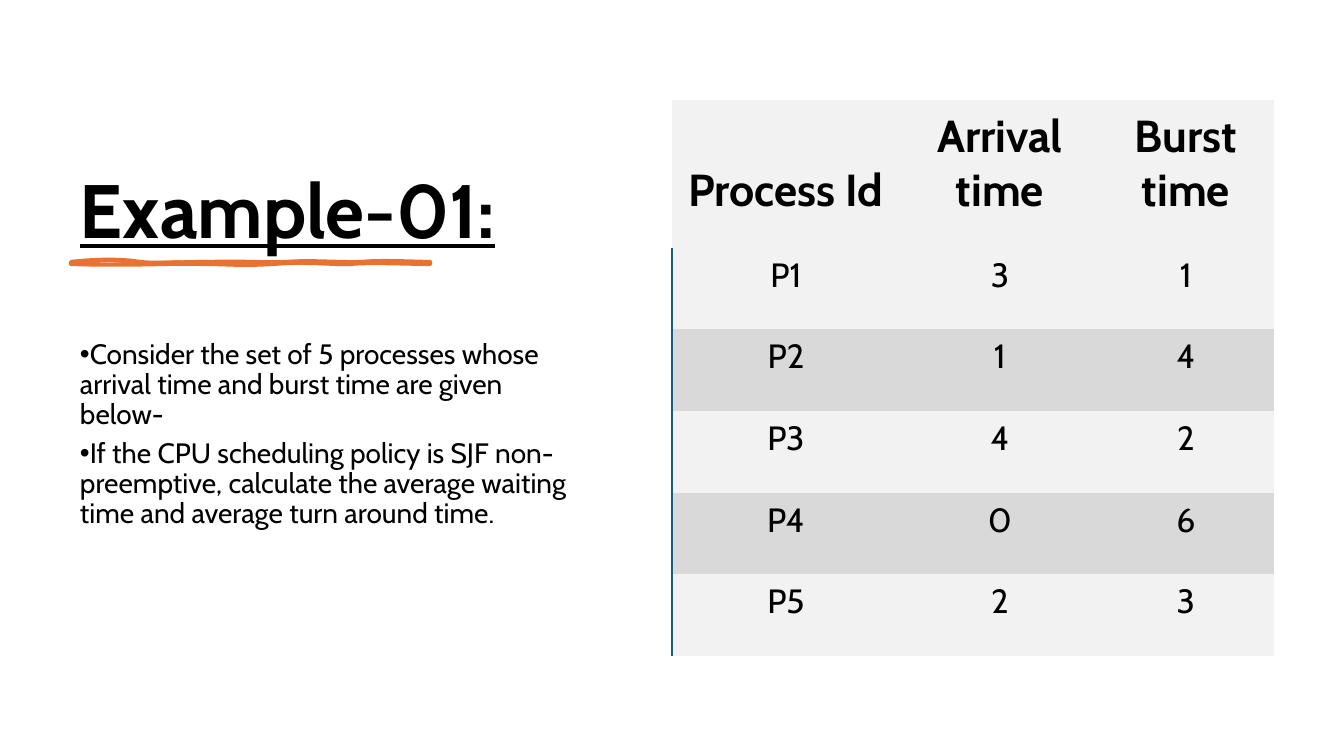
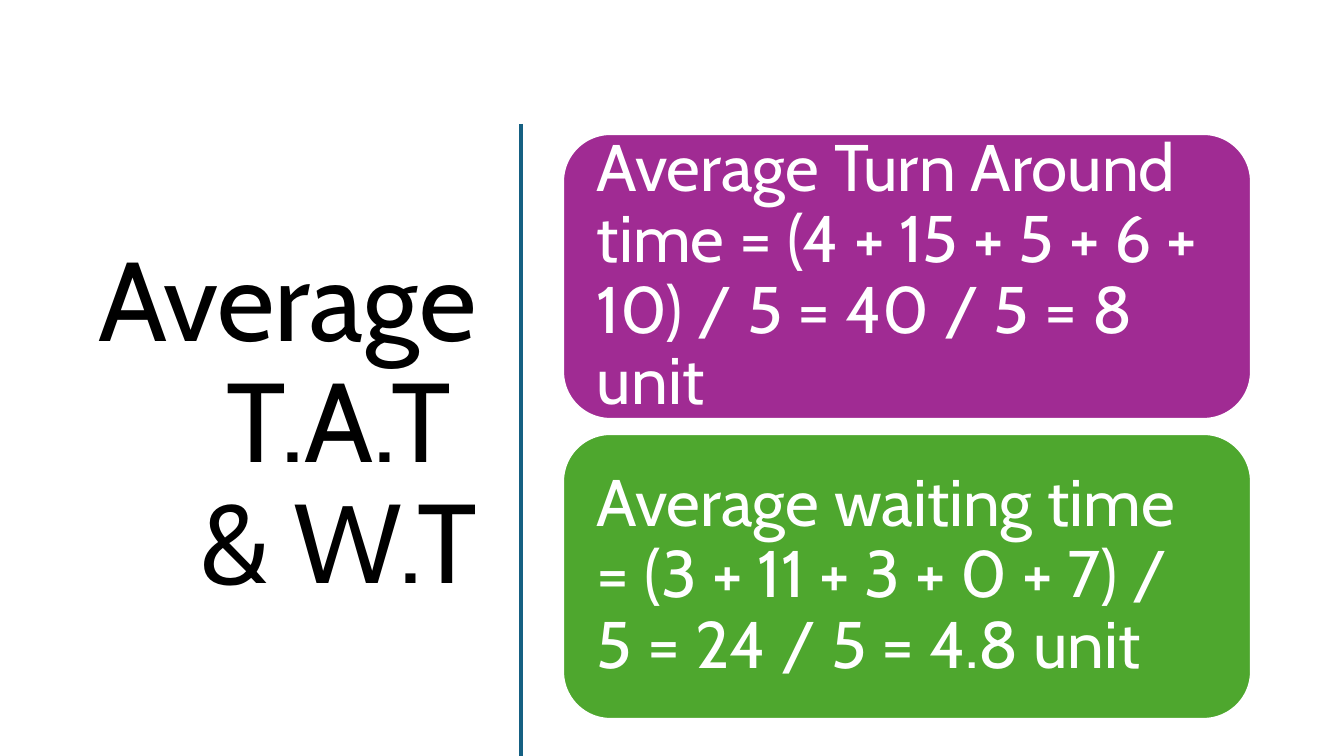
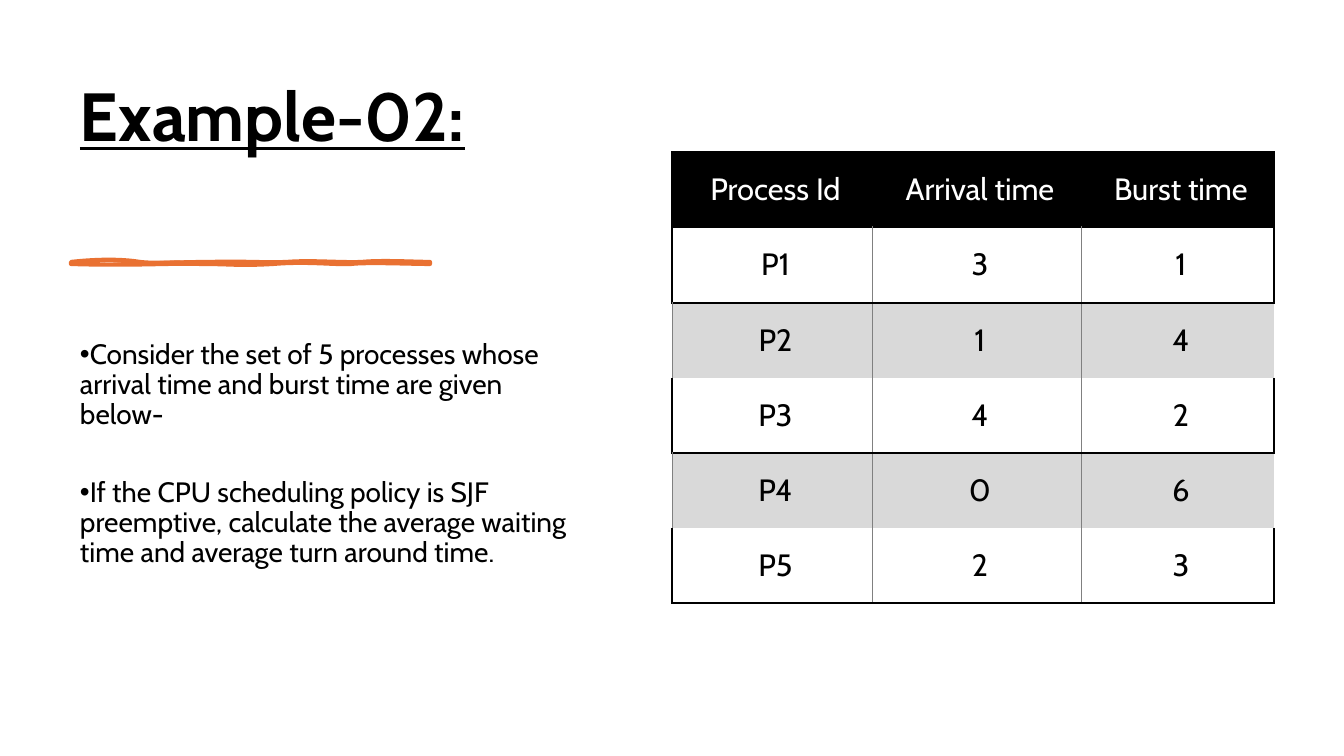
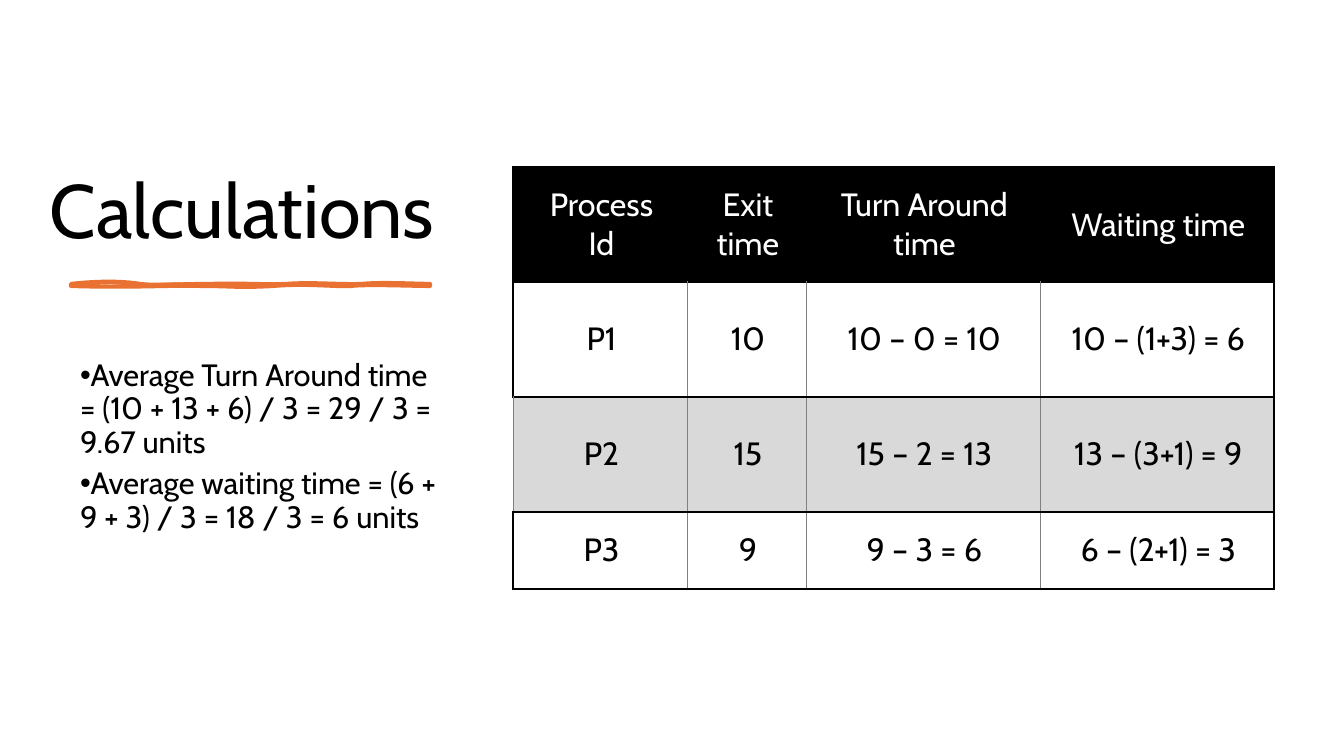
"""Build four slides on shortest-job-first CPU scheduling."""
from itertools import accumulate

from lxml import etree
from pptx import Presentation
from pptx.dml.color import RGBColor
from pptx.enum.shapes import MSO_CONNECTOR, MSO_SHAPE
from pptx.enum.text import MSO_ANCHOR, PP_ALIGN
from pptx.oxml.ns import qn
from pptx.util import Emu, Pt

LEFT, CENTER, RIGHT = PP_ALIGN.LEFT, PP_ALIGN.CENTER, PP_ALIGN.RIGHT
TOP, MIDDLE, BOTTOM = MSO_ANCHOR.TOP, MSO_ANCHOR.MIDDLE, MSO_ANCHOR.BOTTOM
ROUNDED, STRAIGHT = MSO_SHAPE.ROUNDED_RECTANGLE, MSO_CONNECTOR.STRAIGHT

SLIDE_W, SLIDE_H = 1344, 756
SCALE = 12192000 / SLIDE_W

THEME = {
    "font": "Cabin",
    "ink": "000000", "paper": "FFFFFF", "accent": "E97132", "teal": "156082",
    "purple": "A02B93", "green": "4EA72E",
    "light": "F2F2F2", "shade": "D9D9D9", "hair": "808080",
    "title": 54, "small_title": 48.6, "big_title": 80, "card": 47,
    "body": 20, "large_body": 22, "leading": 0.9, "after": 6,
}
NO_STYLE = "{2D5ABB26-0587-4C30-8999-92F81FD0307C}"
RULE, HAIR, EDGE = (THEME["ink"], 1.5), (THEME["hair"], 0.5), (THEME["teal"], 1)

PROCESSES = [
    ("Process Id", "Arrival time", "Burst time"),
    ("P1", "3", "1"),
    ("P2", "1", "4"),
    ("P3", "4", "2"),
    ("P4", "0", "6"),
    ("P5", "2", "3"),
]
RESULTS = [
    ("Process Id", "Exit time", "Turn Around time", "Waiting time"),
    ("P1", "10", "10 – 0 = 10", "10 – (1+3) = 6"),
    ("P2", "15", "15 – 2 = 13", "13 – (3+1) = 9"),
    ("P3", "9", "9 – 3 = 6", "6 – (2+1) = 3"),
]
GIVEN = "Consider the set of 5 processes whose arrival time and burst time are given below-"

SOFT_TABLE = {
    "header_fill": THEME["light"], "plain_fill": THEME["light"],
    "header_ink": THEME["ink"], "header_bold": True, "header_anchor": BOTTOM,
    "header_size": 32, "size": 24, "margins": (14, 4, 16, 30),
    "header_edges": {}, "plain_edges": {"L": EDGE}, "shaded_edges": {"L": EDGE},
    "divider": None,
}
RULED_TABLE = {
    "header_fill": THEME["ink"], "plain_fill": None,
    "header_ink": THEME["paper"], "header_bold": False, "header_anchor": MIDDLE,
    "header_size": 22, "size": 22, "margins": (20, 16, 13, 16),
    "header_edges": {side: RULE for side in "LRTB"},
    "plain_edges": {"L": RULE, "R": RULE, "B": RULE}, "shaded_edges": {"L": HAIR},
    "divider": HAIR,
}
RESULT_TABLE = RULED_TABLE | {
    "header_size": 23, "size": 23, "margins": (21, 16, 18, 16),
    "shaded_edges": {"L": HAIR, "R": RULE, "B": RULE},
}

EXERCISES = [
    {
        "title": "Example-01:", "title_box": (70, 71, 531, 270), "title_foot": 96,
        "title_size": THEME["title"], "heading": True, "stroke_top": 262,
        "points": [GIVEN, "If the CPU scheduling policy is SJF non-preemptive, calculate "
                          "the average waiting time and average turn around time."],
        "points_box": (70, 293, 531, 391), "points_head": 47,
        "points_size": THEME["body"], "gap": THEME["after"],
        "rows": PROCESSES, "look": SOFT_TABLE, "corner": (672, 100),
        "widths": (230, 198, 174), "heights": (148, 81, 82, 82, 81, 82),
    },
    {
        "title": "Example-02:", "title_box": (70, 71, 531, 163), "title_foot": 87,
        "title_size": THEME["small_title"], "heading": True, "stroke_top": 262,
        "points": [GIVEN, "If the CPU scheduling policy is SJF preemptive, calculate "
                          "the average waiting time and average turn around time."],
        "points_box": (70, 293, 531, 391), "points_head": 47,
        "points_size": THEME["body"], "gap": 34,
        "rows": PROCESSES, "look": RULED_TABLE, "corner": (672, 152),
        "widths": (200, 209, 193), "heights": (75, 76, 75, 75, 75, 75),
    },
    {
        "title": "Calculations", "title_box": (40, 71, 407, 189), "title_foot": 5,
        "title_size": THEME["title"], "heading": False, "stroke_top": 284,
        "points": ["Average Turn Around time = (10 + 13 + 6) / 3 = 29 / 3 = 9.67 units",
                   "Average waiting time = (6 + 9 + 3) / 3 = 18 / 3 = 6 units"],
        "points_box": (70, 309, 378, 376), "points_head": 51,
        "points_size": THEME["large_body"], "gap": THEME["after"],
        "rows": RESULTS, "look": RESULT_TABLE, "corner": (513, 167),
        "widths": (174, 119, 234, 234), "heights": (115, 115, 115, 77),
    },
]

AVERAGES_TITLE = "Average T.A.T \v& W.T"
AVERAGES = [
    ("Average Turn Around time = (4 + 15 + 5 + 6 + 10) / 5 = 40 / 5 = 8 unit", THEME["purple"]),
    ("Average waiting time = (3 + 11 + 3 + 0 + 7) / 5 = 24 / 5 = 4.8 unit", THEME["green"]),
]
CARD_LEFT, CARD_TOP, CARD_W, CARD_H, CARD_STEP = 563, 134, 688, 285, 300

STROKE_LEFT, STROKE_W, STROKE_H = 71, 359, 2
STROKE_OUTLINE = [
    ((27, -3), (51, -3), (69, 0)), ((86, 2), (108, 0), (140, 0)),
    ((172, -1), (192, 1), (216, 0)), ((240, -2), (271, 1), (291, 0)),
    ((311, -2), (345, 0), (359, 0)), ((359, 0), (359, 1), (359, 2)),
    ((341, 2), (296, 0), (280, 2)), ((264, 3), (236, -1), (202, 2)),
    ((166, 4), (162, 2), (130, 2)), ((97, 1), (63, 4), (0, 2)),
    ((0, 1), (0, 0), (0, 0)),
]
STROKE_BODY = [
    ((32, 2), (40, 0), (69, 0)), ((97, -1), (100, -3), (130, 0)),
    ((159, 2), (193, 1), (209, 0)), ((225, -2), (259, 2), (276, 0)),
    ((294, -3), (330, 3), (359, 0)), ((359, 0), (359, 1), (359, 2)),
    ((345, 1), (304, 4), (287, 2)), ((270, -1), (241, 2), (209, 2)),
    ((175, 1), (171, 0), (147, 2)), ((124, 3), (110, 1), (76, 2)),
    ((41, 2), (22, 1), (0, 2)), ((0, 1), (0, 0), (0, 0)),
]


def px(length):
    return Emu(round(length * SCALE))


def rgb(code):
    return RGBColor.from_string(code)


def assign(target, values):
    for attribute, value in values.items():
        setattr(target, attribute, value)


def paint(fill, code):
    if code is None:
        fill.background()
    else:
        fill.solid()
        fill.fore_color.rgb = rgb(code)


def write(paragraph, text, size, color=THEME["ink"], align=LEFT, bold=False,
          underline=False, leading=THEME["leading"]):
    paragraph.text = text
    assign(paragraph, {"alignment": align, "line_spacing": leading})
    for run in paragraph.runs:
        assign(run.font, {"name": THEME["font"], "size": Pt(size), "bold": bold,
                          "underline": underline})
        run.font.color.rgb = rgb(color)


def add_frame(slide, box, anchor, head=5, foot=5):
    frame = slide.shapes.add_textbox(*map(px, box)).text_frame
    assign(frame, {"word_wrap": True, "vertical_anchor": anchor, "margin_left": px(10),
                   "margin_right": px(10), "margin_top": px(head), "margin_bottom": px(foot)})
    return frame


def add_points(slide, points, box, head, size, gap):
    frame = add_frame(slide, box, TOP, head=head)
    for index, point in enumerate(points):
        paragraph = frame.add_paragraph() if index else frame.paragraphs[0]
        properties = paragraph._p.get_or_add_pPr()
        properties.set("marL", "0")
        properties.set("indent", "-228600")
        etree.SubElement(properties, qn("a:buFont"), typeface="Arial")
        etree.SubElement(properties, qn("a:buChar"), char="•")
        write(paragraph, point, size)
        paragraph.space_after = Pt(gap)


def add_curves(paths, curves, **options):
    path = etree.SubElement(paths, qn("a:path"), w=str(px(STROKE_W)), h=str(px(STROKE_H)),
                            **options)
    for command, points in [("moveTo", [(0, 0)])] + [("cubicBezTo", curve) for curve in curves]:
        step = etree.SubElement(path, qn(f"a:{command}"))
        for x, y in points:
            etree.SubElement(step, qn("a:pt"), x=str(px(x)), y=str(px(y)))
    etree.SubElement(path, qn("a:close"))


def add_stroke(slide, top):
    left, right, bottom = STROKE_LEFT, STROKE_LEFT + STROKE_W, top + STROKE_H
    builder = slide.shapes.build_freeform(px(left), px(top), scale=1.0)
    builder.add_line_segments([(px(x), px(y)) for x, y in
                               ((right, top), (right, bottom), (left, bottom))])
    stroke = builder.convert_to_shape()
    stroke.shadow.inherit = False
    paint(stroke.fill, THEME["accent"])
    paint(stroke.line.fill, THEME["accent"])
    stroke.line.width = Pt(3)
    paths = stroke._element.spPr.find(f"{qn('a:custGeom')}/{qn('a:pathLst')}")
    paths.remove(paths[0])
    add_curves(paths, STROKE_OUTLINE, fill="none")
    add_curves(paths, STROKE_BODY, stroke="0")


def add_borders(cell, edges):
    properties = cell._tc.get_or_add_tcPr()
    for side in "LRTB":
        if edges.get(side):
            color, width = edges[side]
            line = etree.SubElement(properties, qn(f"a:ln{side}"), w=str(Pt(width)))
            solid = etree.SubElement(line, qn("a:solidFill"))
            etree.SubElement(solid, qn("a:srgbClr"), val=color)


def add_grid(slide, rows, look, corner, widths, heights):
    box = (*corner, sum(widths), sum(heights))
    table = slide.shapes.add_table(len(rows), len(widths), *map(px, box)).table
    assign(table, {"first_row": False, "horz_banding": False})
    table._tbl.tblPr.find(qn("a:tableStyleId")).text = NO_STYLE
    for column, width in zip(table.columns, widths):
        column.width = px(width)
    last = len(widths) - 1
    margins = dict(zip(("margin_left", "margin_top", "margin_right", "margin_bottom"),
                       map(px, look["margins"])))
    for r, (values, height) in enumerate(zip(rows, heights)):
        table.rows[r].height = px(height)
        kind = "header" if r == 0 else "plain" if r % 2 else "shaded"
        header = kind == "header"
        fill = THEME["shade"] if kind == "shaded" else look[f"{kind}_fill"]
        for c, value in enumerate(values):
            cell = table.cell(r, c)
            edges = dict(look[f"{kind}_edges"])
            if not header:
                if c > 0:
                    edges["L"] = look["divider"]
                if c < last:
                    edges["R"] = look["divider"]
            add_borders(cell, edges)
            paint(cell.fill, fill)
            assign(cell, margins | {"vertical_anchor": look["header_anchor"] if header else MIDDLE})
            write(cell.text_frame.paragraphs[0], value,
                  look["header_size"] if header else look["size"],
                  look["header_ink"] if header else THEME["ink"], CENTER,
                  header and look["header_bold"], leading=1.0)


def add_exercise(slide, exercise):
    title = add_frame(slide, exercise["title_box"], BOTTOM, foot=exercise["title_foot"])
    write(title.paragraphs[0], exercise["title"], exercise["title_size"],
          bold=exercise["heading"], underline=exercise["heading"])
    add_stroke(slide, exercise["stroke_top"])
    add_points(slide, *(exercise[key] for key in
                        ("points", "points_box", "points_head", "points_size", "gap")))
    add_grid(slide, *(exercise[key] for key in ("rows", "look", "corner", "widths", "heights")))


def add_averages(slide):
    title = add_frame(slide, (53, 118, 434, 616), MIDDLE)
    write(title.paragraphs[0], AVERAGES_TITLE, THEME["big_title"], align=RIGHT)
    divider = slide.shapes.add_connector(STRAIGHT, *map(px, (521, 124, 521, 756)))
    divider.line.color.rgb = rgb(THEME["teal"])
    divider.line.width = Pt(2.25)
    etree.SubElement(divider._element.spPr, qn("a:effectLst"))
    tops = accumulate([CARD_STEP] * (len(AVERAGES) - 1), initial=CARD_TOP)
    for (average, color), top in zip(AVERAGES, tops):
        card = slide.shapes.add_shape(ROUNDED, *map(px, (CARD_LEFT, top, CARD_W, CARD_H)))
        card.shadow.inherit = False
        paint(card.fill, color)
        paint(card.line.fill, THEME["paper"])
        card.line.width = Pt(1.5)
        sides = ("left", "top", "right", "bottom")
        assign(card.text_frame, {f"margin_{side}": px(20) for side in sides}
               | {"word_wrap": True, "vertical_anchor": MIDDLE})
        write(card.text_frame.paragraphs[0], average, THEME["card"], THEME["paper"])


def main():
    deck = Presentation()
    assign(deck, {"slide_width": px(SLIDE_W), "slide_height": px(SLIDE_H)})
    blank = deck.slide_layouts[6]
    first, *others = EXERCISES
    add_exercise(deck.slides.add_slide(blank), first)
    add_averages(deck.slides.add_slide(blank))
    for exercise in others:
        add_exercise(deck.slides.add_slide(blank), exercise)
    deck.save("out.pptx")


if __name__ == "__main__":
    main()
